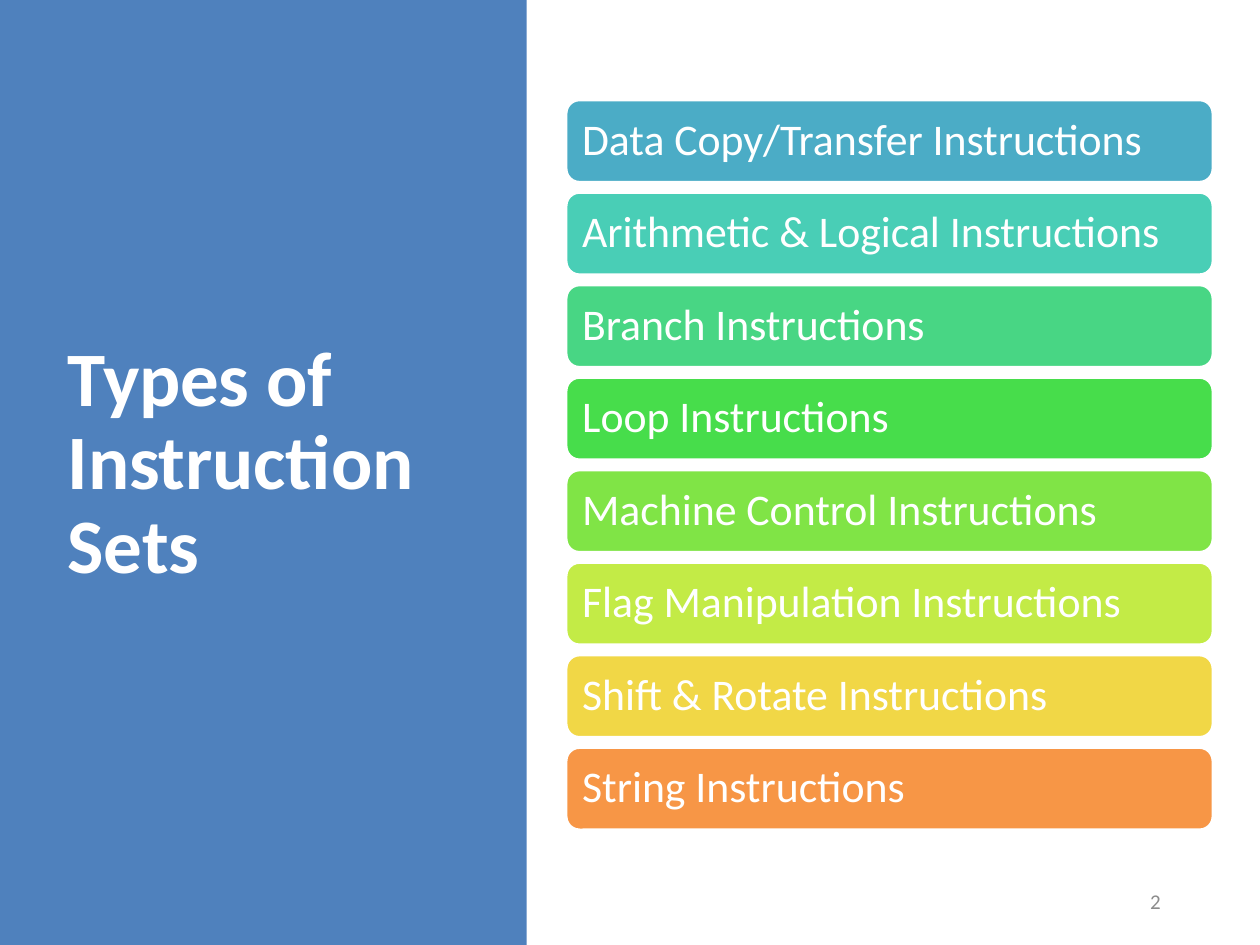
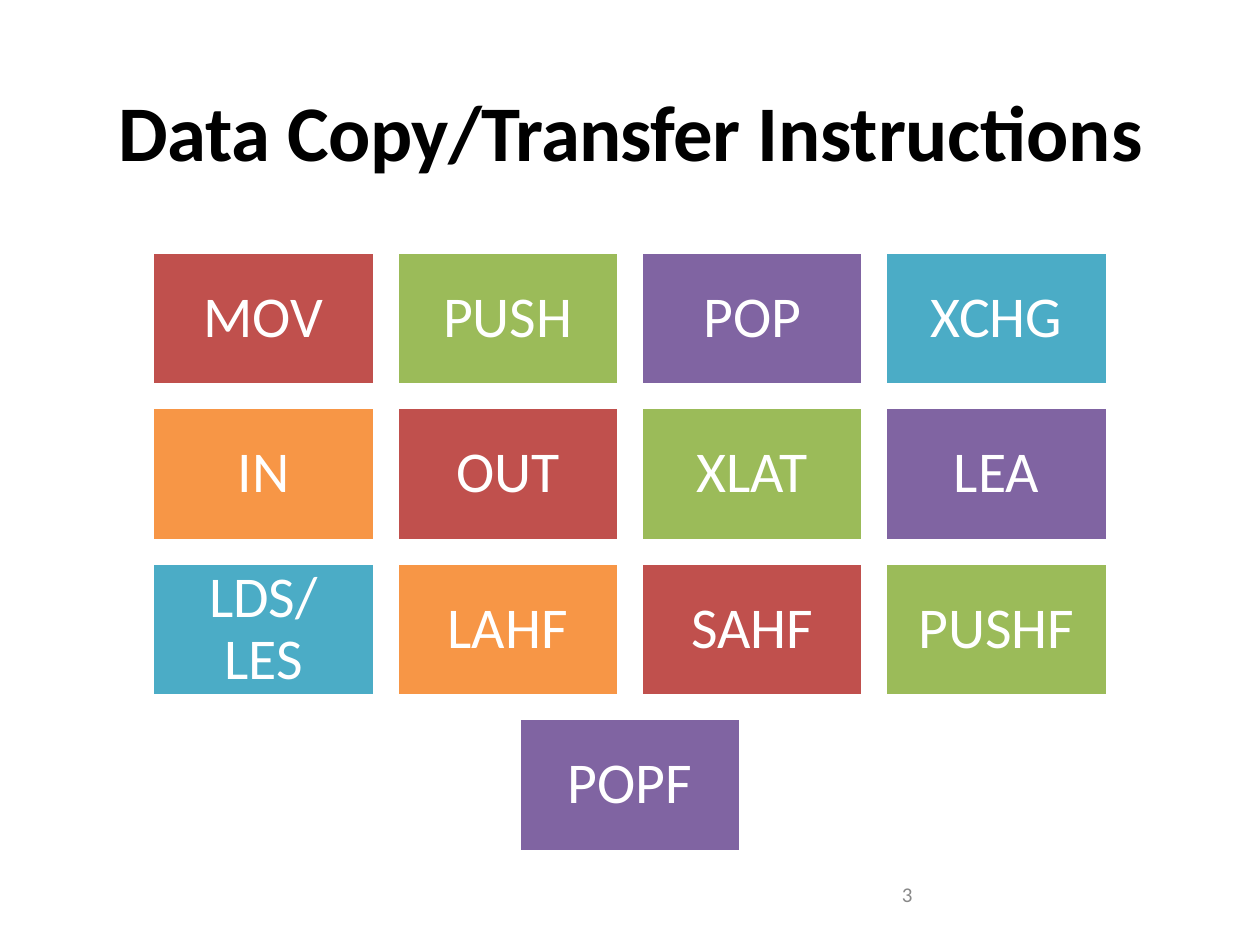
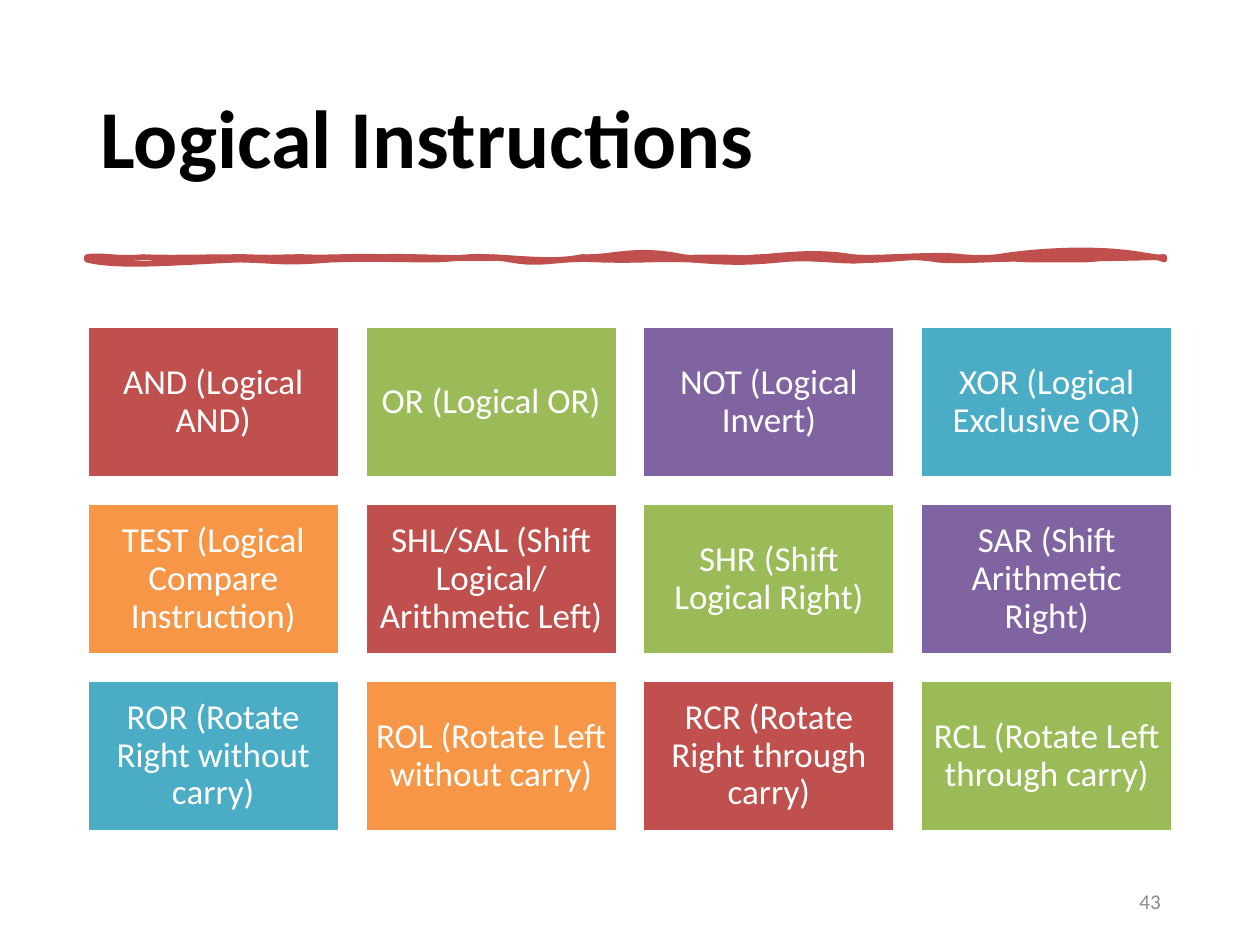
"""Build three slides on the types of processor instructions."""
from copy import deepcopy
from dataclasses import dataclass

from lxml.etree import SubElement
from pptx import Presentation
from pptx.dml.color import RGBColor
from pptx.enum.shapes import MSO_SHAPE
from pptx.enum.text import MSO_ANCHOR, PP_ALIGN
from pptx.oxml.ns import qn
from pptx.util import Inches, Pt


@dataclass(frozen=True)
class Theme:
    font: str = "Calibri"
    white: str = "FFFFFF"
    black: str = "000000"
    gray: str = "8C8C8C"
    middle_gray: str = "888888"
    blue: str = "4F81BD"
    red: str = "C0504D"
    accents: tuple = ("C0504D", "9BBB59", "8064A2", "4BACC6", "F79646")
    page_size: int = 12
    bar_size: int = 25
    tile_line: float = 2
    brush_line: float = 3.25


THEME = Theme()
WIDTH, HEIGHT = 10, 7.5
MARGIN = 0.69
CONTENT_WIDTH = WIDTH - 2 * MARGIN

TYPES_TITLE = [("Types ", -20), ("of ", 0), ("Instruction Sets", -10)]
TRANSFER_TITLE = [("Data ", -30), ("Copy/Transfer ", -40), ("Instructions", -10)]
LOGICAL_TITLE = [("Logical Instructions", -5)]

INSTRUCTION_TYPES = [
    ("Data Copy/Transfer Instructions", "4BACC6"),
    ("Arithmetic & Logical Instructions", "49CEB6"),
    ("Branch Instructions", "48D684"),
    ("Loop Instructions", "47DD4B"),
    ("Machine Control Instructions", "80E446"),
    ("Flag Manipulation Instructions", "C3EB46"),
    ("Shift & Rotate Instructions", "F1D746"),
    ("String Instructions", "F79646"),
]
TRANSFER_INSTRUCTIONS = [
    "MOV", "PUSH", "POP", "XCHG", "IN", "OUT", "XLAT", "LEA",
    "LDS/LES", "LAHF", "SAHF", "PUSHF", "POPF",
]
LOGICAL_INSTRUCTIONS = [
    "AND (Logical AND)",
    "OR (Logical OR)",
    "NOT (Logical Invert)",
    "XOR (Logical Exclusive OR)",
    "TEST (Logical Compare Instruction)",
    "SHL/SAL (Shift Logical/ Arithmetic Left)",
    "SHR (Shift Logical Right)",
    "SAR (Shift Arithmetic Right)",
    "ROR (Rotate Right without carry)",
    "ROL (Rotate Left without carry)",
    "RCR (Rotate Right through carry)",
    "RCL (Rotate Left through carry)",
]

BRUSH_START = (0.69, 2.04)
BRUSH_OUTLINE = [
    (0.8, 2.02, 0.92, 2.06, 1.14, 2.04), (1.31, 2.05, 1.67, 2.04, 1.94, 2.04),
    (2.23, 2.05, 2.19, 2.04, 2.4, 2.04), (2.61, 2.05, 2.84, 2.03, 3.02, 2.04),
    (3.26, 2.03, 3.63, 2.06, 3.91, 2.04), (4.23, 2.06, 4.42, 2.08, 4.62, 2.04),
    (4.86, 2.05, 5.03, 1.96, 5.42, 2.04), (5.76, 2.08, 5.93, 2.04, 6.05, 2.04),
    (6.2, 2.03, 6.47, 1.99, 6.76, 2.04), (6.96, 2.06, 7.41, 2.01, 7.64, 2.04),
    (7.86, 2.06, 8.06, 2.02, 8.18, 2.04), (8.34, 2.06, 8.84, 2.05, 9.24, 2.04),
    (9.24, 2.05, 9.24, 2.05, 9.24, 2.06), (9.11, 2, 8.78, 2.05, 8.61, 2.06),
    (8.44, 2.06, 8.3, 2.06, 8.15, 2.06), (8.03, 2.04, 7.64, 2.08, 7.44, 2.06),
    (7.27, 2.03, 7.09, 2.04, 6.9, 2.06), (6.71, 2.09, 6.49, 2.03, 6.19, 2.06),
    (5.89, 2.09, 5.76, 2.08, 5.48, 2.06), (5.17, 2.05, 5.1, 2.07, 4.76, 2.06),
    (4.41, 2.04, 4.32, 2.11, 4.05, 2.06), (3.76, 2.01, 3.64, 2.06, 3.42, 2.06),
    (3.21, 2.06, 2.96, 2.05, 2.63, 2.06), (2.24, 2.09, 2.25, 2.07, 1.91, 2.06),
    (1.55, 2.07, 0.95, 2.13, 0.69, 2.06), (0.69, 2.05, 0.69, 2.05, 0.69, 2.04),
]
BRUSH_FILL = [
    (0.86, 2.03, 1, 2.03, 1.31, 2.04), (1.63, 2.03, 1.59, 2.04, 1.77, 2.04),
    (1.94, 2.02, 2.1, 2.05, 2.21, 2.04), (2.33, 2.03, 2.52, 2.05, 2.65, 2.04),
    (2.9, 2.05, 2.97, 2.02, 3.28, 2.04), (3.58, 2.04, 3.65, 2.02, 3.91, 2.04),
    (4.17, 2.08, 4.58, 2.05, 4.79, 2.04), (5.07, 1.98, 5.18, 2.05, 5.33, 2.04),
    (5.51, 2, 5.98, 2.03, 6.22, 2.04), (6.5, 2.05, 6.66, 2.06, 7.1, 2.04),
    (7.53, 2.06, 7.66, 2.02, 7.81, 2.04), (7.99, 1.99, 8.75, 1.9, 9.24, 2.04),
    (9.24, 2.05, 9.24, 2.05, 9.24, 2.06), (9.02, 2.04, 8.92, 2.03, 8.78, 2.06),
    (8.7, 2.09, 8.3, 2.01, 7.9, 2.06), (7.53, 2.08, 7.56, 2.04, 7.36, 2.06),
    (7.14, 2.06, 6.82, 2.12, 6.64, 2.06), (6.42, 2.01, 6.06, 2, 5.76, 2.06),
    (5.45, 2.05, 5.39, 2.06, 5.05, 2.06), (4.72, 2.09, 4.82, 2.07, 4.59, 2.06),
    (4.4, 2.05, 4.28, 2.09, 4.05, 2.06), (3.83, 2.09, 3.61, 2.05, 3.17, 2.06),
    (2.73, 2.07, 2.75, 2.07, 2.45, 2.06), (2.16, 2.05, 2.13, 2.05, 1.91, 2.06),
    (1.72, 1.97, 1.31, 2.07, 0.69, 2.06), (0.69, 2.06, 0.69, 2.05, 0.69, 2.04),
]


def write(shape, pieces, size, color, align=PP_ALIGN.LEFT, anchor=MSO_ANCHOR.MIDDLE,
          bold=False, line_spacing=0.9, indent=0, insets=(0.1, 0.05)):
    """Fill a shape with one paragraph of (text, letter spacing) pieces."""
    frame = shape.text_frame
    frame.word_wrap = True
    frame.vertical_anchor = anchor
    frame.margin_left = frame.margin_right = Inches(insets[0])
    frame.margin_top = frame.margin_bottom = Inches(insets[1])
    paragraph = frame.paragraphs[0]
    paragraph.alignment = align
    paragraph.line_spacing = line_spacing
    if indent:
        paragraph._p.get_or_add_pPr().set("marL", str(Inches(indent)))
    for text, spacing in pieces:
        run = paragraph.add_run()
        run.text = text
        run.font.name = THEME.font
        run.font.size = Pt(size)
        run.font.bold = bold
        run.font.color.rgb = RGBColor.from_string(color)
        if spacing:
            run._r.get_or_add_rPr().set("spc", str(spacing))


def paint(shape, fill, line=None, line_width=0):
    shape.shadow.inherit = False
    shape.fill.solid()
    shape.fill.fore_color.rgb = RGBColor.from_string(fill)
    if line:
        shape.line.color.rgb = RGBColor.from_string(line)
        shape.line.width = Pt(line_width)
    else:
        shape.line.fill.background()


def add_box(slide, kind, box, fill, line=None):
    shape = slide.shapes.add_shape(kind, *map(Inches, box))
    paint(shape, fill, line, THEME.tile_line)
    return shape


def add_text(slide, box, pieces, size, color, **style):
    write(slide.shapes.add_textbox(*map(Inches, box)), pieces, size, color, **style)


def add_title(slide, box, pieces, size, color=THEME.black, **style):
    add_text(slide, box, pieces, size, color, bold=True, indent=0.01, **style)


def add_page_number(slide, number, color=THEME.gray, **style):
    box = (WIDTH - MARGIN - 2.25, 6.95, 2.25, 0.4)
    add_text(slide, box, [(str(number), 0)], THEME.page_size, color, line_spacing=1, **style)


def add_tiles(slide, labels, top, grid_width, size, inset, columns=4):
    """Lay tiles in centred rows, with gaps of a tenth of a tile's width."""
    tile_width = grid_width / (columns + 0.1 * (columns - 1))
    tile_height, gap = 0.6 * tile_width, 0.1 * tile_width
    for index, label in enumerate(labels):
        row, column = divmod(index, columns)
        in_row = min(columns, len(labels) - row * columns)
        row_width = in_row * (tile_width + gap) - gap
        left = (WIDTH - row_width) / 2 + column * (tile_width + gap)
        box = (left, top + row * (tile_height + gap), tile_width, tile_height)
        fill = THEME.accents[index % len(THEME.accents)]
        tile = add_box(slide, MSO_SHAPE.RECTANGLE, box, fill, THEME.white)
        write(tile, [(label, 0)], size, THEME.white, align=PP_ALIGN.CENTER,
              insets=(inset, inset))


def bend(outline, curves, left, top):
    """Turn the straight segments of an outline into cubic curves."""
    for segment, curve in zip(outline.findall(qn("a:lnTo")), curves):
        cubic = outline.makeelement(qn("a:cubicBezTo"))
        for x, y in zip(curve[::2], curve[1::2]):
            SubElement(cubic, qn("a:pt"), x=str(Inches(x) - left), y=str(Inches(y) - top))
        outline.replace(segment, cubic)


def add_brush(slide):
    """Draw a brush stroke from one stroked and one filled outline."""
    builder = slide.shapes.build_freeform(*map(Inches, BRUSH_START))
    builder.add_line_segments([(Inches(curve[4]), Inches(curve[5])) for curve in BRUSH_OUTLINE])
    brush = builder.convert_to_shape()
    paint(brush, THEME.red, THEME.red, THEME.brush_line)
    stroked = next(brush._element.iter(qn("a:path")))
    filled = deepcopy(stroked)
    stroked.addnext(filled)
    stroked.set("fill", "none")
    filled.set("stroke", "0")
    bend(stroked, BRUSH_OUTLINE, brush.left, brush.top)
    bend(filled, BRUSH_FILL, brush.left, brush.top)


def build_types(slide):
    add_box(slide, MSO_SHAPE.RECTANGLE, (0, 0, 4.18, HEIGHT), THEME.blue)
    add_title(slide, (0.43, 0.68, 3.12, 6.02), TYPES_TITLE, 44, THEME.white)
    add_page_number(slide, 2, align=PP_ALIGN.RIGHT)
    first_top, last_top = 0.79, 5.93
    pitch = (last_top - first_top) / (len(INSTRUCTION_TYPES) - 1)
    for index, (label, fill) in enumerate(INSTRUCTION_TYPES):
        box = (4.49, first_top + index * pitch, 5.14, 0.66)
        bar = add_box(slide, MSO_SHAPE.ROUNDED_RECTANGLE, box, fill, THEME.white)
        write(bar, [(label, 0)], THEME.bar_size, THEME.white, insets=(0.1, 0.1))


def build_transfer(slide):
    add_title(slide, (MARGIN, 0.61, CONTENT_WIDTH, 1.24), TRANSFER_TITLE, 45,
              align=PP_ALIGN.CENTER, anchor=MSO_ANCHOR.TOP, line_spacing=1)
    add_page_number(slide, 3, THEME.middle_gray, anchor=MSO_ANCHOR.TOP)
    add_tiles(slide, TRANSFER_INSTRUCTIONS, 2, 7.58, 33, 0.14)


def build_logical(slide):
    add_title(slide, (MARGIN, 0.4, CONTENT_WIDTH, 1.45), LOGICAL_TITLE, 47)
    add_brush(slide)
    add_page_number(slide, 43, align=PP_ALIGN.RIGHT)
    add_tiles(slide, LOGICAL_INSTRUCTIONS, 2.59, CONTENT_WIDTH, 20, 0.08)


def main():
    presentation = Presentation()
    presentation.slide_width = Inches(WIDTH)
    presentation.slide_height = Inches(HEIGHT)
    blank = presentation.slide_layouts[6]
    for build in (build_types, build_transfer, build_logical):
        build(presentation.slides.add_slide(blank))
    presentation.save("out.pptx")


if __name__ == "__main__":
    main()
